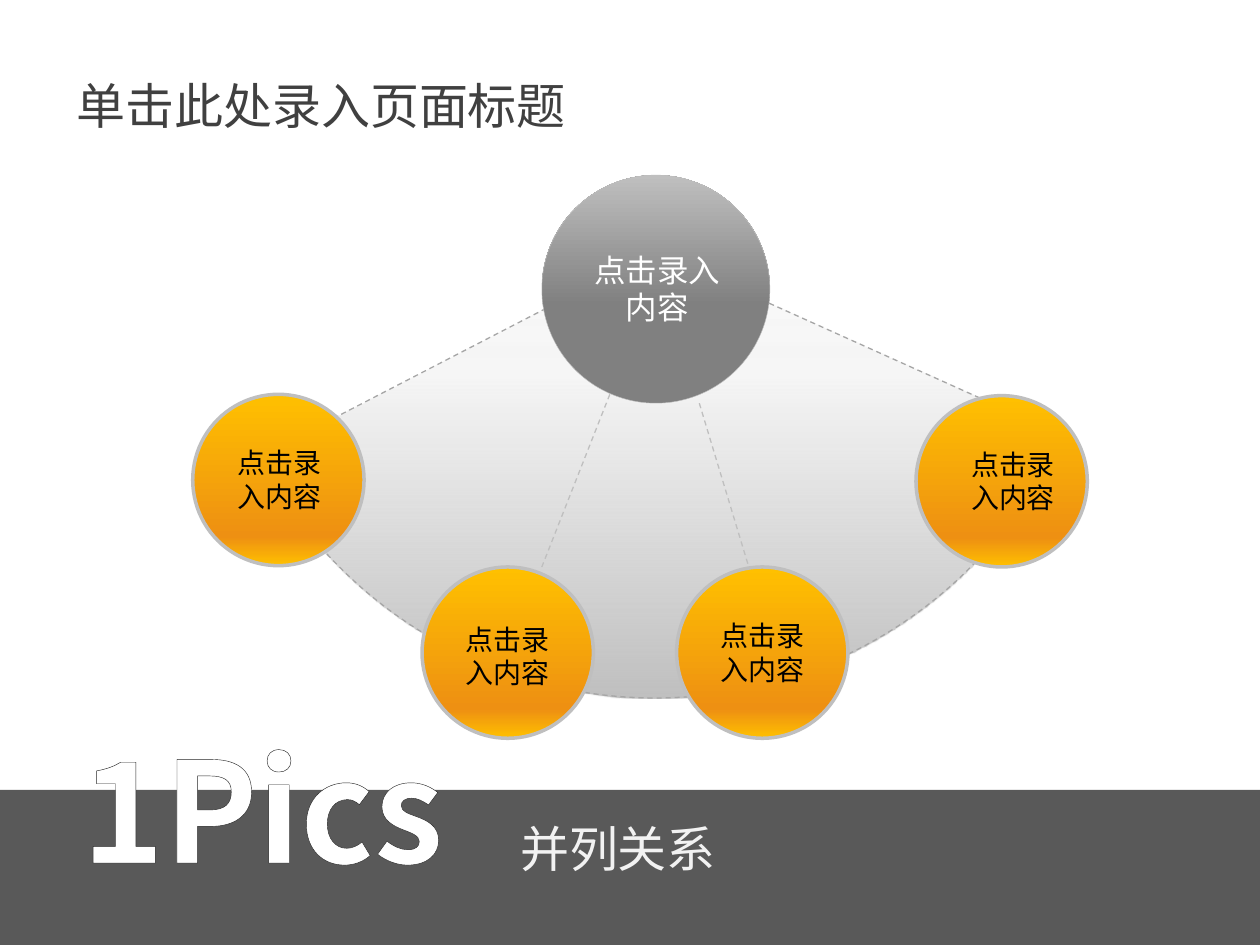
import pptx
import pptx.util
import pptx.dml.color
import pptx.enum.dml
import pptx.enum.shapes
import pptx.enum.text
import pptx.oxml
import pptx.oxml.ns
from lxml import etree
from dataclasses import dataclass

qn = pptx.oxml.ns.qn
SHAPE = pptx.enum.shapes.MSO_SHAPE
ALIGN = pptx.enum.text.PP_ALIGN
ANCHOR = pptx.enum.text.MSO_ANCHOR
CELL = pptx.util.Inches(0.1)  # the slide is a grid of 100 columns by 75 rows


@dataclass(frozen=True)
class Theme:
    font: str = "Noto Sans CJK SC"
    white: str = "FFFFFF"
    black: str = "000000"
    title: str = "404040"
    band: str = "595959"
    caption: str = "F2F2F2"
    outline: str = "262626"
    rim: str = "BFBFBF"
    fan_rim: str = "A6A6A6"
    # Gradient stops from bottom to top: position, colour, opacity (percent)
    fan: tuple = ((0, "BFBFBF", 100), (36, "BFBFBF", 14), (100, "FFFFFF", 0))
    hub: tuple = ((0, "808080", 100), (43, "808080", 100), (100, "BFBFBF", 100))
    node: tuple = ((0, "FFC000", 100), (17, "EE9012", 100), (100, "FFC000", 100))
    heading_size: int = 28
    hub_size: int = 18
    node_size: int = 16
    number_size: int = 80


THEME = Theme()


@dataclass(frozen=True)
class Box:
    x: float
    y: float
    w: float
    h: float

    def sub(self, x, y, w, h):
        return Box(self.x + x, self.y + y, w, h)

    def emu(self):
        return [round(v * CELL) for v in (self.x, self.y, self.w, self.h)]


def rgb(color):
    return pptx.dml.color.RGBColor.from_string(color)


def add_text(s, box, text, size, color, bold=False, align=ALIGN.LEFT,
             anchor=ANCHOR.TOP, wrap=False, outline=None):
    tf = s.shapes.add_textbox(*box.emu()).text_frame
    tf.word_wrap = wrap
    tf.vertical_anchor = anchor
    for i, line in enumerate(text.split("\n")):
        p = tf.paragraphs[0] if i == 0 else tf.add_paragraph()
        p.alignment = align
        r = p.add_run()
        r.text = line
        r.font.size = pptx.util.Pt(size)
        r.font.bold = bold
        r.font.name = THEME.font
        r.font.color.rgb = rgb(color)
        props = r.font._element
        etree.SubElement(props, qn("a:ea")).set("typeface", THEME.font)
        if outline:
            ln = etree.Element(qn("a:ln"), w=str(pptx.util.Pt(1.5)))
            fill = etree.SubElement(ln, qn("a:solidFill"))
            etree.SubElement(fill, qn("a:srgbClr"), val=outline)
            props.insert(0, ln)


def set_line(line, color, width, dashed=False):
    line.color.rgb = rgb(color)
    line.width = pptx.util.Pt(width)
    if dashed:
        line.dash_style = pptx.enum.dml.MSO_LINE.DASH


def set_gradient(sp, stops):
    sp.fill.gradient()
    sp.fill.gradient_angle = 90
    gs_list = sp._element.spPr.find(qn("a:gradFill")).find(qn("a:gsLst"))
    for old in list(gs_list):
        gs_list.remove(old)
    for position, color, opacity in stops:
        gs = etree.SubElement(gs_list, qn("a:gs"), pos=str(position * 1000))
        clr = etree.SubElement(gs, qn("a:srgbClr"), val=color)
        if opacity < 100:
            etree.SubElement(clr, qn("a:alpha"), val=str(opacity * 1000))


def add_gradient_shape(s, kind, box, stops, rim, width, dashed=False):
    sp = s.shapes.add_shape(kind, *box.emu())
    sp.shadow.inherit = False
    set_gradient(sp, stops)
    set_line(sp.line, rim, width, dashed)
    return sp


def add_spoke(s, box, x1, y1, x2, y2):
    ends = (box.x + x1, box.y + y1, box.x + x2, box.y + y2)
    line = s.shapes.add_connector(pptx.enum.shapes.MSO_CONNECTOR.STRAIGHT,
                                  *[round(v * CELL) for v in ends])
    set_line(line.line, THEME.rim, 0.75, dashed=True)
    etree.SubElement(line._element.spPr, qn("a:effectLst"))


def add_title(s, box):
    add_text(s, box, "单击此处录入页面标题", THEME.heading_size, THEME.title,
             anchor=ANCHOR.MIDDLE, wrap=True)


def add_diagram(s, box):
    # Fan behind the circles
    fan = add_gradient_shape(s, SHAPE.PIE, box.sub(1.6, -29.4, 70.8, 70.8),
                             THEME.fan, THEME.fan_rim, 0.75, dashed=True)
    fan.adjustments[0], fan.adjustments[1] = 14.53, 91.59

    # Spokes from the hub to the lower nodes
    add_spoke(s, box, 33.4, 17.3, 28, 31)
    add_spoke(s, box, 40.5, 18, 44.4, 30.9)

    # Hub
    add_gradient_shape(s, SHAPE.OVAL, box.sub(28, -0.1, 18.1, 18.1),
                       THEME.hub, THEME.rim, 0.25)
    add_text(s, box.sub(31.1, 5.4, 12.1, 7.1), "点击录入\n内容",
             THEME.hub_size, THEME.white, align=ALIGN.CENTER)

    # Nodes: circle corner, then the label's offset from it
    nodes = ((0.3, 17.3, 2.5, 3.6), (18.5, 31, 2.4, 3.9),
             (38.7, 31, 2.4, 3.6), (57.7, 17.4, 3.3, 3.6))
    for x, y, dx, dy in nodes:
        add_gradient_shape(s, SHAPE.OVAL, box.sub(x, y, 13.6, 13.6),
                           THEME.node, THEME.rim, 2)
        add_text(s, box.sub(x + dx, y + dy, 8.8, 6.4), "点击录\n入内容",
                 THEME.node_size, THEME.black, align=ALIGN.CENTER)


def add_footer(s, box):
    band = s.shapes.add_shape(SHAPE.RECTANGLE, *box.emu())
    band.shadow.inherit = False
    band.fill.solid()
    band.fill.fore_color.rgb = rgb(THEME.band)
    band.line.fill.background()
    add_text(s, box.sub(5.5, -5.8, 38.6, 14.5), "1Pics", THEME.number_size,
             THEME.white, bold=True, wrap=True, outline=THEME.outline)
    add_text(s, box.sub(40.3, 1.8, 17.7, 5.7), "并列关系",
             THEME.heading_size, THEME.caption)


def main():
    prs = pptx.Presentation()
    prs.slide_width, prs.slide_height = 100 * CELL, 75 * CELL
    s = prs.slides.add_slide(prs.slide_layouts[6])
    add_title(s, Box(5.1, 2.1, 90, 12.5))
    add_diagram(s, Box(15, 14, 72, 45))
    add_footer(s, Box(0, 62.7, 100, 12.3))
    prs.save("out.pptx")


if __name__ == "__main__":
    main()
